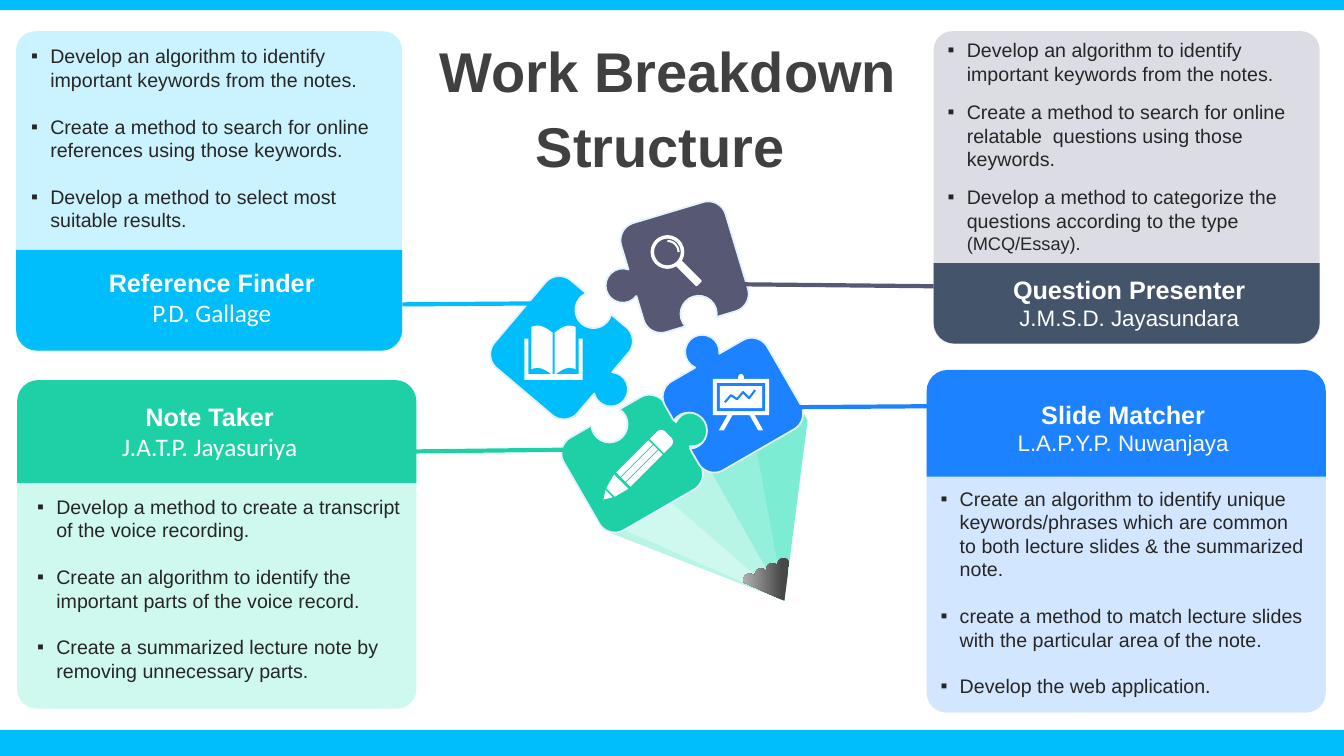
from math import acos, asin, atan2, cos, degrees, hypot, pi, radians, sin
from lxml.etree import SubElement
from pptx import Presentation
from pptx.dml.color import RGBColor
from pptx.enum.shapes import MSO_CONNECTOR, MSO_SHAPE
from pptx.enum.text import MSO_ANCHOR, MSO_AUTO_SIZE, PP_ALIGN
from pptx.oxml.ns import qn
from pptx.util import Inches, Pt

HUES = {
    "sky": "00BDFB", "ice": "CBF2FF", "green": "1ED0A6", "mint": "CFF8EF",
    "plum": "565874", "slate": "44546A", "grey": "DCDCE5",
    "blue": "1C82FF", "pale": "D2E6FF", "edge": "E2F2FF",
    "wood1": "7CECD2", "wood2": "94F0DA", "wood3": "B8F5E6",
    "lead": "474747", "shine": "B0B0B0",
    "white": "FFFFFF", "text": "262626", "title": "404040",
}
TITLE = ["Work Breakdown", "Structure "]
BARS = [(0, 7.24, 13.33, 0.26), (0, 0, 13.33, 0.1)]

# Boxes are left, top, width, height in inches.
CARDS = [
    dict(role="Reference Finder", who="P.D. Gallage", face="Calibri", size=18,
         card=(0.16, 0.31, 3.83, 3.17), head=(0.16, 2.48, 3.83, 1), top=False,
         name=(0.64, 2.6, 2.92, 1.01), body=(0.21, 0.39, 3.79, 2.42),
         back="ice", hue="sky", gap=16.5, tasks=[
             ["Develop an algorithm to identify important keywords from the notes."],
             ["Create a method to search for online references using those keywords."],
             ["Develop a method to select most suitable results."]]),
    dict(role="Note Taker", who="J.A.T.P. Jayasuriya", face="Calibri", size=18,
         card=(0.17, 3.85, 3.96, 3.18), head=(0.17, 3.77, 3.96, 1.02), top=True,
         name=(0.48, 3.93, 3.2, 1.01), body=(0.27, 4.86, 3.82, 1.99),
         back="mint", hue="green", gap=16.5, tasks=[
             ["Develop a method to create a transcript of the voice recording."],
             ["Create an algorithm to identify the important parts of the voice record."],
             ["Create a summarized lecture note by removing unnecessary parts."]]),
    dict(role="Question Presenter", who="J.M.S.D. Jayasundara", face="Arial", size=16,
         card=(9.26, 0.31, 3.83, 3.1), head=(9.26, 2.61, 3.83, 0.8), top=False,
         name=(9.74, 2.67, 2.92, 0.99), body=(9.3, 0.33, 3.79, 2.27),
         back="grey", hue="slate", gap=10.5, tasks=[
             ["Develop an algorithm to identify important keywords from the notes."],
             ["Create a method to search for online relatable  questions using those keywords."],
             ["Develop a method to categorize the questions according to the type ",
              "(MCQ/Essay)."]]),
    dict(role="Slide Matcher", who="L.A.P.Y.P. Nuwanjaya", face="Arial", size=16,
         card=(9.19, 3.75, 3.96, 3.32), head=(9.19, 3.67, 3.96, 1.06), top=True,
         name=(9.68, 3.91, 2.92, 0.97), body=(9.23, 4.78, 3.81, 2.42),
         back="pale", hue="blue", gap=16.5, tasks=[
             ["Create an algorithm to identify unique keywords/phrases which are common "
              "to both lecture slides & the summarized note."],
             ["create a method to match lecture slides with the particular area of the note."],
             ["Develop the web application."]]),
]
LINES = [(3.99, 3.02, 5.34, 3.01, "sky"), (4, 4.48, 5.73, 4.46, "green"),
         (7.29, 2.82, 9.26, 2.84, "plum"), (7.88, 4.04, 9.22, 4.03, "blue")]

# Puzzle pieces: hue, centre, width, height, turn in degrees.
PIECES = [("green", (6.27, 4.6), 1.16, 1.06, -30), ("plum", (6.79, 2.65), 1.08, 1.13, 163.3),
          ("blue", (7.27, 4.02), 1.02, 1.17, -120), ("sky", (5.57, 3.45), 1.08, 1.14, 40.2)]
BEND = 0.18                # corner radius of a piece
HOLE, SINK = 0.18, 0.08    # hole radius, distance of its centre inside the edge
TAB, RISE = 0.17, 0.1      # tab radius, distance of its centre outside the edge

# Slices of the big pencil's wood: hue, left end and right end of the rim.
WOOD = [("wood1", (6.12, 5.26), (8.01, 4.17)), ("wood2", (6.15, 5.25), (7.49, 4.39)),
        ("wood3", (6.06, 5.29), (7.03, 4.64)), ("mint", (6.15, 5.24), (6.57, 4.91))]
POINT, LIFT = (7.78, 5.96), (0.12, 0.21)
LEAD = ((7.38, 5.78), (7.83, 5.57))
BUMPS = 4

deck = Presentation()
deck.slide_width, deck.slide_height = Inches(13.33), Inches(7.5)
slide = deck.slides.add_slide(deck.slide_layouts[5])
shapes = slide.shapes


def rgb(hue):
    return RGBColor.from_string(HUES[hue])


def place(box):
    return [Inches(n) for n in box]


def paint(shape, hue=None, edge=None, width=1.25):
    shape.shadow.inherit = False
    if hue:
        shape.fill.solid()
        shape.fill.fore_color.rgb = rgb(hue)
    else:
        shape.fill.background()
    if edge:
        shape.line.color.rgb, shape.line.width = rgb(edge), Pt(width)
    else:
        shape.line.fill.background()
    return shape


def preset(kind, box, hue=None, edge=None, width=1.25):
    return paint(shapes.add_shape(kind, *place(box)), hue, edge, width)


def trace(spots, hue=None, edge=None, width=1.25, close=True):
    first, *rest = [place(spot) for spot in spots]
    pen = shapes.build_freeform(*first, scale=1.0)
    pen.add_line_segments(rest, close=close)
    return paint(pen.convert_to_shape(), hue, edge, width)


def arc(x, y, size, start, end, steps=16):
    """Points on a circle; angles in degrees run clockwise from the right."""
    turns = [radians(start + (end - start) * n / steps) for n in range(steps + 1)]
    return [(x + size * cos(t), y + size * sin(t)) for t in turns]


def spin(spots, mid, turn):
    """Turn points about the origin, then move them to mid."""
    c, s = cos(radians(turn)), sin(radians(turn))
    return [(mid[0] + x * c - y * s, mid[1] + x * s + y * c) for x, y in spots]


def puzzle(wide, high):
    """Rounded block with a hole in its top side and a tab on its right side."""
    x, y = wide / 2 - BEND, high / 2 - BEND
    lean, half = degrees(asin(SINK / HOLE)), degrees(acos(RISE / TAB))
    return (arc(-x, -y, BEND, 180, 270)
            + arc(0, SINK - high / 2, HOLE, 180 + lean, -lean)
            + arc(x, -y, BEND, -90, 0)
            + arc(wide / 2 + RISE, 0, TAB, 180 + half, 540 - half)
            + arc(x, y, BEND, 0, 90) + arc(-x, y, BEND, 90, 180))


def draw_wood():
    for hue, left, right in WOOD:
        back = [(x - LIFT[0], y - LIFT[1]) for x, y in (left, right)]
        trace([left, *back, right, POINT], hue)


def draw_lead():
    """Scalloped dark tip: equal half circles along its upper side."""
    (x, y), (far, low) = LEAD
    dx, dy = far - x, low - y
    tilt, size = degrees(atan2(dy, dx)), hypot(dx, dy) / BUMPS / 2
    spots = []
    for n in range(BUMPS):
        part = (n + 0.5) / BUMPS
        spots += arc(x + dx * part, y + dy * part, size, 180 + tilt, 360 + tilt)
    fill = trace(spots + [POINT], "lead").fill
    fill.gradient()
    fill.gradient_angle = 180
    for stop, hue, spot in zip(fill.gradient_stops, ("lead", "shine"), (0.15, 1)):
        stop.color.rgb, stop.position = rgb(hue), spot


def draw_pencil(mid=(6.31, 4.63), turn=-45):
    tip = [(-0.46, 0), (-0.38, -0.05), (-0.38, 0.05)]
    cone = [(-0.36, -0.06), (-0.21, -0.1), (-0.21, 0.1), (-0.36, 0.06)]
    strips = [[(-0.18, y - 0.03), (0.27, y - 0.03), (0.27, y + 0.03), (-0.18, y + 0.03)]
              for y in (-0.07, 0, 0.07)]
    rubber = [(0.29, -0.1), *arc(0.39, -0.04, 0.06, -90, 0), *arc(0.39, 0.04, 0.06, 0, 90), (0.29, 0.1)]
    for part in (tip, cone, *strips, rubber):
        trace(spin(part, mid, turn), "white")


def draw_book(mid=5.49):
    preset(MSO_SHAPE.RECTANGLE, (mid - 0.29, 3.36, 0.58, 0.41), "white")
    preset(MSO_SHAPE.RECTANGLE, (mid - 0.25, 3.32, 0.5, 0.39), "sky")
    wave = [(0.01 + 0.21 * n / 10, 0.07 * sin(0.7 * pi * n / 10)) for n in range(11)]
    for side in (-1, 1):
        roof = [(mid + side * x, 3.3 - y) for x, y in wave]
        foot = [(mid + side * x, 3.72 - y) for x, y in wave]
        trace(roof + foot[::-1], "white")


def draw_lens(x=6.62, y=2.5):
    for kind, size, width in ((MSO_SHAPE.OVAL, 0.15, 2.5), (MSO_SHAPE.ARC, 0.11, 1.5)):
        preset(kind, (x - size, y - size, 2 * size, 2 * size), None, "white", width)
    grip = preset(MSO_SHAPE.ROUNDED_RECTANGLE, (x + 0.06, y + 0.17, 0.3, 0.08), "white")
    grip.rotation = 45


def draw_easel(x=7.35, y=3.94):
    preset(MSO_SHAPE.OVAL, (x - 0.03, 3.71, 0.06, 0.08), "white")
    for inset, hue in ((0, "white"), (0.04, "blue"), (0.07, "white")):
        wide, high = 0.28 - inset, 0.18 - inset
        preset(MSO_SHAPE.RECTANGLE, (x - wide, y - high, 2 * wide, 2 * high), hue)
    for side in (-1, 1):
        trace([(x + side * dx, dy) for dx, dy in
               ((0.08, 4.11), (0.13, 4.11), (0.22, 4.27), (0.17, 4.27))], "white")
    graph = [0.05, -0.02, 0.02, -0.05, 0.01, -0.07]
    trace([(x - 0.16 + 0.06 * n, y + dy) for n, dy in enumerate(graph)],
          None, "blue", 1.5, close=False)


def style(para, face, size, hue, bold=False):
    for run in para.runs:
        font = run.font
        font.name, font.size, font.bold = face, Pt(size), bold
        font.color.rgb = rgb(hue)


def frame(box):
    text = shapes.add_textbox(*place(box)).text_frame
    text.word_wrap = True
    return text


def write(card):
    """Fill the task list and the name block of a card."""
    text = frame(card["body"])
    for n, task in enumerate(card["tasks"]):
        para = text.add_paragraph() if n else text.paragraphs[0]
        props = para._p.get_or_add_pPr()
        props.set("marL", str(Inches(0.19)))
        props.set("indent", str(-Inches(0.19)))
        if n:
            para.space_before = Pt(card["gap"])
        SubElement(props, qn("a:buFont")).set("typeface", "Arial")
        SubElement(props, qn("a:buChar")).set("char", "▪")
        for bit in task:
            para.add_run().text = bit
        style(para, "Arial", 14, "text")
        for run in para.runs[1:]:
            run.font.size = Pt(13)
    text = frame(card["name"])
    text.text = card["role"] + "\n" + card["who"]
    role, who = text.paragraphs
    style(role, "Arial", 18, "white", True)
    style(who, card["face"], card["size"], "white")
    role.alignment = who.alignment = PP_ALIGN.CENTER


for bar in BARS:
    preset(MSO_SHAPE.RECTANGLE, bar, "sky")

title = shapes.title
title.left, title.top, title.width, title.height = place((4.16, 0.31, 4.93, 1.6))
text = title.text_frame
text.text = "\n".join(TITLE)
text.word_wrap, text.auto_size = True, MSO_AUTO_SIZE.NONE
text.vertical_anchor = MSO_ANCHOR.MIDDLE
for n, para in enumerate(text.paragraphs):
    para.alignment, para.line_spacing = PP_ALIGN.CENTER, 0.9
    para.space_before = Pt(10 if n else 0)
    style(para, "Arial", 40, "title", True)

draw_wood()
draw_lead()
for hue, mid, wide, high, turn in PIECES:
    trace(spin(puzzle(wide, high), mid, turn), hue, "edge")
for draw in (draw_pencil, draw_book, draw_lens, draw_easel):
    draw()

for card in CARDS:
    back = preset(MSO_SHAPE.ROUNDED_RECTANGLE, card["card"], card["back"])
    back.adjustments[0] = 0.06
    head = preset(MSO_SHAPE.ROUND_2_SAME_RECTANGLE, card["head"], card["hue"])
    curb = 0.21 / card["head"][3]
    head.adjustments[0], head.adjustments[1] = (curb, 0) if card["top"] else (0, curb)
    write(card)

for *ends, hue in LINES:
    line = shapes.add_connector(MSO_CONNECTOR.STRAIGHT, *place(ends))
    line.line.color.rgb, line.line.width = rgb(hue), Pt(3)
    SubElement(line._element.spPr, qn("a:effectLst"))

deck.save("out.pptx")
